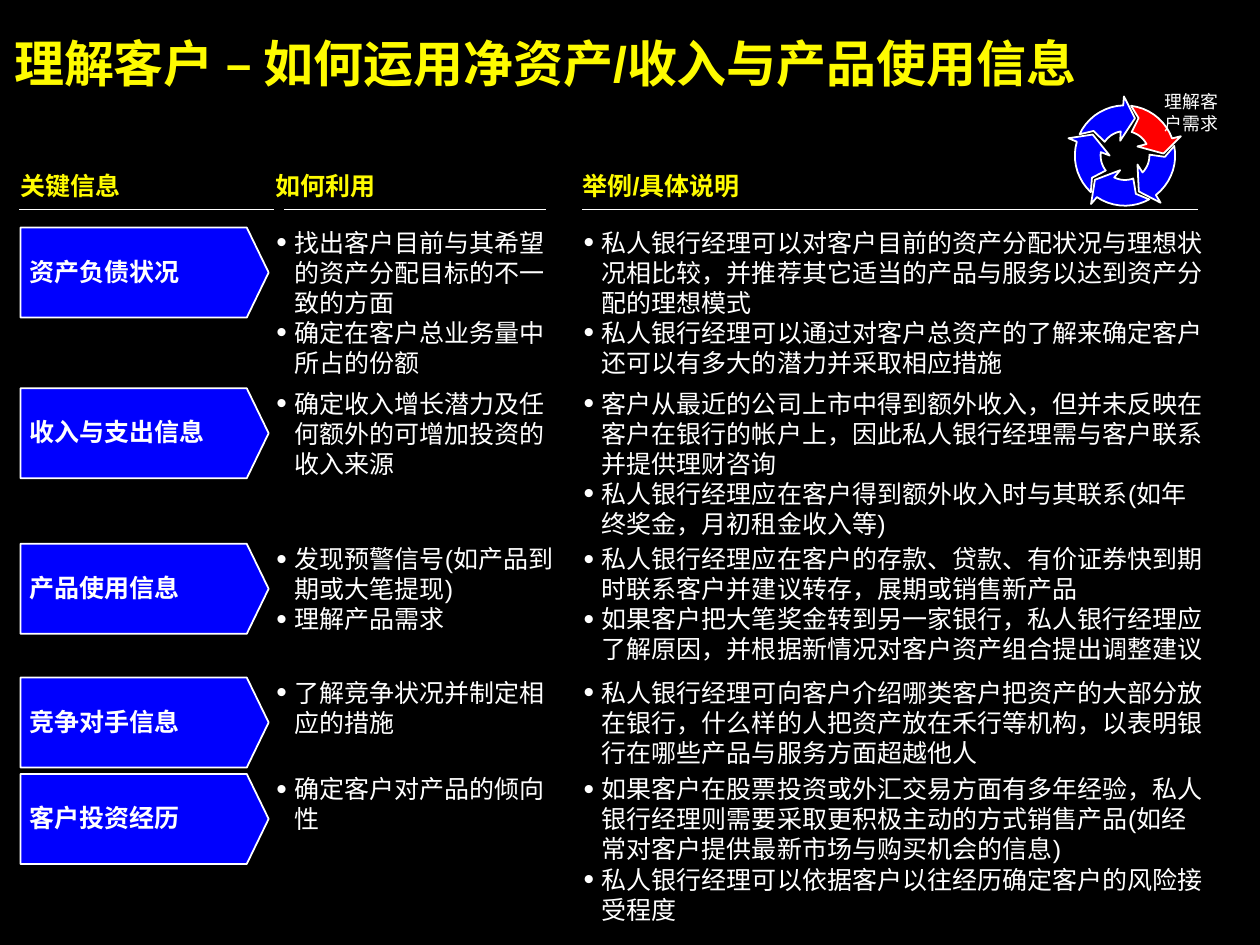
from math import cos, radians, sin

from lxml import etree
from pptx import Presentation
from pptx.dml.color import RGBColor
from pptx.enum.shapes import MSO_CONNECTOR
from pptx.enum.text import MSO_ANCHOR
from pptx.oxml.ns import qn
from pptx.util import Inches, Pt

STRAIGHT = MSO_CONNECTOR.STRAIGHT
TOP, MIDDLE = MSO_ANCHOR.TOP, MSO_ANCHOR.MIDDLE
COLORS = {"black": "000000", "yellow": "FEFB00", "white": "FFFFFF",
          "blue": "0000FE", "red": "FF0000"}
FONT = "Arial"

TITLE = "理解客户 – 如何运用净资产/收入与产品使用信息"
HEADINGS = [
    ("关键信息", 0.16, 0.15, 2.13),
    ("如何利用", 2.14, 2.21, 4.25),
    ("举例/具体说明", 4.53, 4.53, 9.32),
]
ROWS = [
    (1.77, 1.17, "资产负债状况",
     ["找出客户目前与其希望的资产分配目标的不一致的方面", "确定在客户总业务量中所占的份额"],
     ["私人银行经理可以对客户目前的资产分配状况与理想状况相比较，并推荐其它适当的产品与服务以达到资产分配的理想模式",
      "私人银行经理可以通过对客户总资产的了解来确定客户还可以有多大的潜力并采取相应措施"]),
    (3.02, 1.17, "收入与支出信息",
     ["确定收入增长潜力及任何额外的可增加投资的收入来源"],
     ["客户从最近的公司上市中得到额外收入，但并未反映在客户在银行的帐户上，因此私人银行经理需与客户联系并提供理财咨询",
      "私人银行经理应在客户得到额外收入时与其联系(如年终奖金，月初租金收入等)"]),
    (4.23, 0.93, "产品使用信息",
     ["发现预警信号(如产品到期或大笔提现)", "理解产品需求"],
     ["私人银行经理应在客户的存款、贷款、有价证券快到期时联系客户并建议转存，展期或销售新产品",
      "如果客户把大笔奖金转到另一家银行，私人银行经理应了解原因，并根据新情况对客户资产组合提出调整建议"]),
    (5.27, 0.7, "竞争对手信息",
     ["了解竞争状况并制定相应的措施"],
     ["私人银行经理可向客户介绍哪类客户把资产的大部分放在银行，什么样的人把资产放在禾行等机构，以表明银行在哪些产品与服务方面超越他人"]),
    (6.02, 1.17, "客户投资经历",
     ["确定客户对产品的倾向性"],
     ["如果客户在股票投资或外汇交易方面有多年经验，私人银行经理则需要采取更积极主动的方式销售产品(如经常对客户提供最新市场与购买机会的信息)",
      "私人银行经理可以依据客户以往经历确定客户的风险接受程度"]),
]


def rgb(name):
    return RGBColor.from_string(COLORS[name])


def add_bullet(paragraph):
    props = paragraph._p.get_or_add_pPr()
    props.set("marL", str(Inches(0.15)))
    props.set("indent", str(Inches(-0.14)))
    color = etree.SubElement(props, qn("a:buClr"))
    etree.SubElement(color, qn("a:srgbClr")).set("val", COLORS["white"])
    etree.SubElement(props, qn("a:buSzPct")).set("val", "120000")
    etree.SubElement(props, qn("a:buFont")).set("typeface", FONT)
    etree.SubElement(props, qn("a:buChar")).set("char", "•")


def add_text(slide, box, lines, size, color="white", bold=False,
             anchor=TOP, bulleted=False):
    frame = slide.shapes.add_textbox(*map(Inches, box)).text_frame
    frame.margin_left = frame.margin_right = 0
    frame.margin_top = frame.margin_bottom = 0
    frame.word_wrap = True
    frame.vertical_anchor = anchor
    frame.text = "\n".join(lines)
    for paragraph in frame.paragraphs:
        if bulleted:
            add_bullet(paragraph)
        for run in paragraph.runs:
            run.font.name = FONT
            run.font.size = Pt(size)
            run.font.bold = bold
            run.font.color.rgb = rgb(color)


def add_outline(slide, points, color):
    corners = [(Inches(x), Inches(y)) for x, y in points]
    builder = slide.shapes.build_freeform(*corners[0])
    builder.add_line_segments(corners[1:], close=True)
    outline = builder.convert_to_shape()
    outline.shadow.inherit = False
    outline.fill.solid()
    outline.fill.fore_color.rgb = rgb(color)
    outline.line.color.rgb = rgb("white")
    outline.line.width = Pt(1)


def add_heading(slide, heading, left, rule_start, rule_end, top):
    add_text(slide, (left, top, 2.01, 0.23), [heading], 14, "yellow", True)
    rule_y = Inches(top + 0.3)
    rule = slide.shapes.add_connector(
        STRAIGHT, Inches(rule_start), rule_y, Inches(rule_end), rule_y)
    rule.line.color.rgb = rgb("white")
    rule.line.width = Pt(1)
    etree.SubElement(rule._element.spPr, qn("a:effectLst"))


def add_label(slide, left, top, width, height, label):
    right, middle, bottom = left + width, top + height / 2, top + height
    shoulder = right - 0.17
    add_outline(slide, [(left, top), (shoulder, top), (right, middle),
                        (shoulder, bottom), (left, bottom)], "blue")
    add_text(slide, (left + 0.07, top + 0.04, 1.61, 0.6), [label], 14,
             bold=True, anchor=MIDDLE)


def add_row(slide, top, height, label, uses, examples):
    add_label(slide, 0.16, top, 1.93, 0.7, label)
    add_text(slide, (2.14, top, 2.27, height), uses, 14, bulleted=True)
    add_text(slide, (4.53, top, 4.89, height), examples, 14, bulleted=True)


def add_cycle(slide, center_x, center_y, caption):
    outer, inner = 0.39, 0.19
    arrow = [(outer, angle) for angle in range(5, 69, 7)]
    arrow += [(0.46, 69), (0.3, 85), (0.12, 52)]
    arrow += [(inner, angle) for angle in range(60, 13, -6)]
    arrow += [(inner, 14), (0.31, 18)]
    for step in range(-1, 4):
        turn = 72 * step + 2
        points = [(center_x + radius * sin(radians(angle + turn)),
                   center_y - radius * cos(radians(angle + turn)))
                  for radius, angle in arrow]
        add_outline(slide, points, "blue" if step else "red")
    add_text(slide, (center_x + 0.31, center_y - 0.5, 0.5, 0.33), [caption],
             10, anchor=MIDDLE)


def main():
    deck = Presentation()
    deck.slide_width, deck.slide_height = Inches(9.8), Inches(7.35)
    slide = deck.slides.add_slide(deck.slide_layouts[6])
    slide.background.fill.solid()
    slide.background.fill.fore_color.rgb = rgb("black")
    add_text(slide, (0.11, 0.25, 9.51, 0.47), [TITLE], 28, "yellow", True)
    for heading in HEADINGS:
        add_heading(slide, *heading, top=1.33)
    for row in ROWS:
        add_row(slide, *row)
    add_cycle(slide, 8.75, 1.21, "理解客户需求")
    deck.save("out.pptx")


if __name__ == "__main__":
    main()
